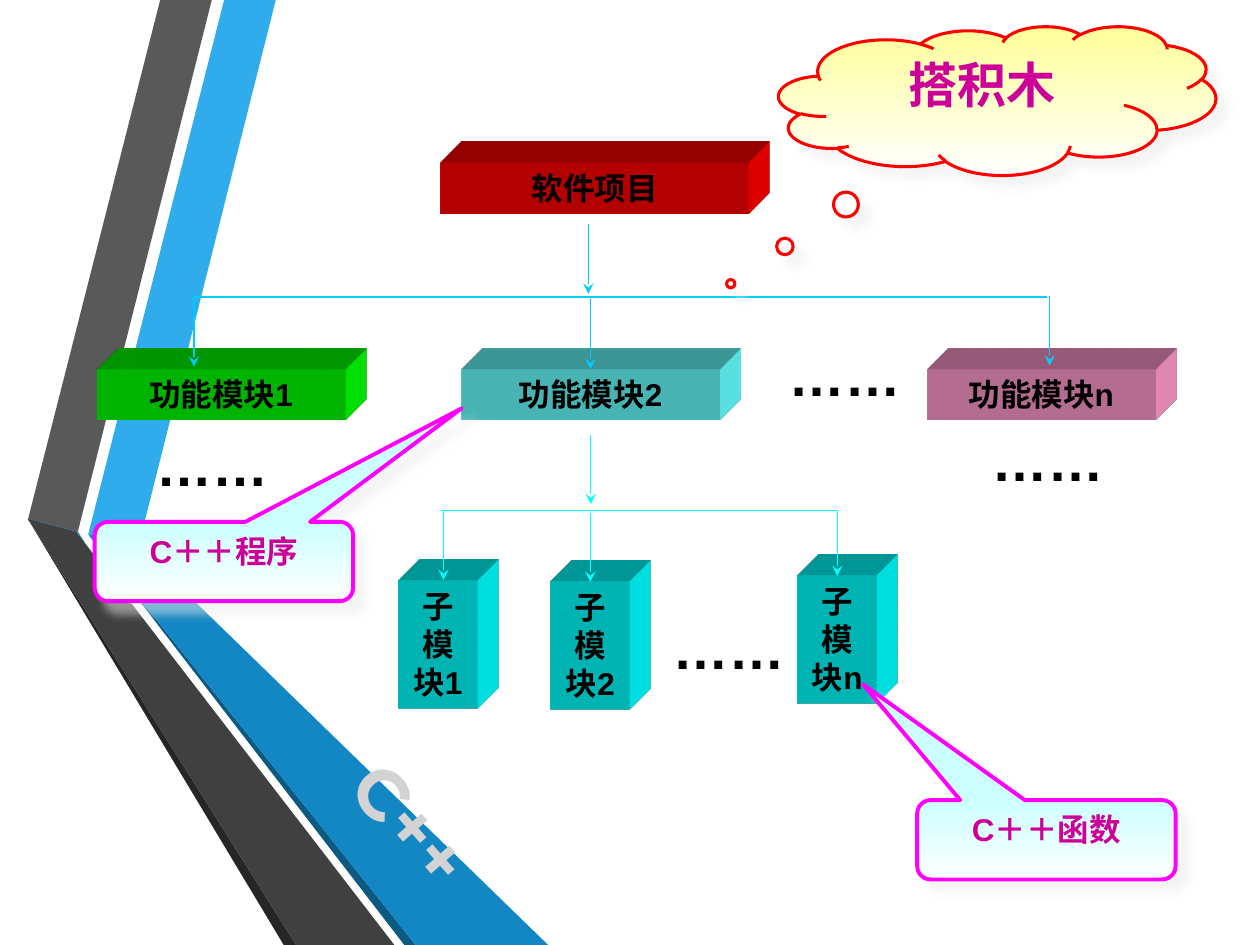
from lxml.etree import SubElement
from pptx import Presentation
from pptx.dml.color import RGBColor
from pptx.enum.shapes import MSO_CONNECTOR as Link, MSO_SHAPE as Preset
from pptx.enum.text import MSO_ANCHOR as Anchor, MSO_AUTO_SIZE as Fit, PP_ALIGN as Align
from pptx.oxml.ns import qn
from pptx.util import Cm, Pt

CYAN, SKY, PINK = "00FFFF", "00CCFF", "CC0099"


def paint(target, value):
    """Apply a hex colour to a fill."""
    target.solid()
    target.fore_color.rgb = RGBColor.from_string(value)


def node(parent, tag, **attributes):
    """Append a drawing element with its attributes."""
    return SubElement(parent, qn(tag), {key: str(value) for key, value in attributes.items()})


def write(box, text, size=18, color="000000", font="Arial", align=Align.CENTER, fit=Fit.NONE):
    """Put formatted bold text in a box."""
    frame = box.text_frame
    frame.word_wrap = True
    frame.auto_size = fit
    frame.vertical_anchor = Anchor.TOP
    para = frame.paragraphs[0]
    para.alignment = align
    span = para.add_run()
    span.text = text
    span.font.name = font
    span.font.size = Pt(size)
    span.font.bold = True
    paint(span.font.fill, color)


class Diagram:
    """Draw the elements of the module diagram on one page."""

    def __init__(self, page):
        """Keep the current page."""
        self.shapes = page.shapes

    def band(self, color, points):
        """Draw a filled polygon of the side ribbon."""
        corners = [(Cm(x), Cm(y)) for x, y in points]
        builder = self.shapes.build_freeform(*corners[0], scale=1.0)
        builder.add_line_segments(corners[1:], close=True)
        shape = builder.convert_to_shape()
        paint(shape.fill, color)
        shape.line.fill.background()
        shape.shadow.inherit = False

    def label(self, text, left, top, width=4.6, height=1.6, turn=0, **style):
        """Add a left-aligned text box."""
        box = self.shapes.add_textbox(Cm(left), Cm(top), Cm(width), Cm(height))
        box.rotation = turn
        write(box, text, align=Align.LEFT, fit=Fit.SHAPE_TO_FIT_TEXT, **style)

    def block(self, text, color, left, top, width, height=1.02):
        """Add an extruded block and return it."""
        box = self.shapes.add_shape(Preset.RECTANGLE, Cm(left), Cm(top), Cm(width), Cm(height))
        paint(box.fill, color)
        box.line.fill.background()
        box.shadow.inherit = False
        properties = box._element.spPr
        scene = node(properties, "a:scene3d")
        node(scene, "a:camera", prst="legacyObliqueTopRight")
        node(scene, "a:lightRig", rig="legacyFlat3", dir="b")
        solid = node(properties, "a:sp3d", extrusionH=430200, prstMaterial="legacyMatte")
        node(node(solid, "a:extrusionClr"), "a:srgbClr", val=color)
        write(box, text, fit=Fit.SHAPE_TO_FIT_TEXT)
        return box

    def line(self, color, start, end, arrow=False):
        """Add a thin line, with a stealth head if wanted."""
        link = self.shapes.add_connector(Link.STRAIGHT, *start, *end)
        link.line.width = Pt(0.75)
        paint(link.line.fill, color)
        if arrow:
            node(link.line._get_or_add_ln(), "a:tailEnd", type="stealth")
        node(link._element.spPr, "a:effectLst")
        return link

    def bus(self, color, left, right, y):
        """Add a horizontal line that feeds the arrows."""
        self.line(color, (Cm(left), Cm(y)), (Cm(right), Cm(y)))

    def drop(self, color, x, top, length=1.4):
        """Add a free downward arrow."""
        self.line(color, (Cm(x), Cm(top)), (Cm(x), Cm(top + length)), arrow=True)

    def feed(self, color, top, target):
        """Add a downward arrow joined to the top of a block."""
        middle = target.left + target.width // 2
        link = self.line(color, (middle, Cm(top)), (middle, target.top), arrow=True)
        link.end_connect(target, 0)

    def callout(self, preset, text, place, adjust, tint, edge, weight, size=18):
        """Add a shaded callout with a soft shadow."""
        box = self.shapes.add_shape(preset, *map(Cm, place))
        for index, value in enumerate(adjust):
            box.adjustments[index] = value
        box.fill.gradient()
        box.fill.gradient_angle = 270
        for stop, value in zip(box.fill.gradient_stops, (tint, "FFFFFF")):
            stop.color.rgb = RGBColor.from_string(value)
        paint(box.line.fill, edge)
        box.line.width = Pt(weight)
        box.shadow.inherit = False
        effects = box._element.spPr.find(qn("a:effectLst"))
        shadow = node(effects, "a:outerShdw", blurRad=Pt(5), dist=Pt(8.5), dir=2700000,
                      algn="ctr", rotWithShape=0)
        node(node(shadow, "a:srgbClr", val="EBEBEB"), "a:alpha", val=50000)
        write(box, text, size=size, color=PINK)


def main():
    """Build and save the slide."""
    deck = Presentation()
    deck.slide_width, deck.slide_height = Cm(25.4), Cm(19.05)
    diagram = Diagram(deck.slides.add_slide(deck.slide_layouts[6]))

    bands = [
        ("30ACEC", [(1.78, 10.77), (2.79, 11.02), (5.56, 0), (4.52, 0)]),
        ("595959", [(4.27, 0), (3.23, 0), (0.56, 10.49), (1.57, 10.72)]),
        ("262626", [(0.58, 10.49), (5.72, 19.05), (5.97, 19.05)]),
        ("0C5A82", [(8.38, 19.05), (1.8, 10.8), (8.15, 19.05)]),
        ("1287C3", [(1.78, 10.77), (1.8, 10.8), (8.38, 19.05), (11.05, 19.05), (2.79, 11.02)]),
        ("404040", [(7.95, 19.05), (1.73, 10.97), (1.57, 10.72), (0.56, 10.46), (0.58, 10.49),
                    (5.97, 19.05)]),
        ("29ABE2", [(1.57, 10.72), (0.56, 10.46), (1.55, 10.72)]),
        ("29ABE2", [(1.55, 10.74), (1.73, 10.97), (1.57, 10.74)]),
    ]
    for color, points in bands:
        diagram.band(color, points)
    diagram.label("C++", 6.55, 15.93, 4.09, 1.96, turn=48.7, size=40, color="D3D3D3",
                  font="Montserrat")

    parts = [("1", 8.03, 11.71), ("2", 11.1, 11.73), ("n", 16.08, 11.61)]
    _, second_part, last_part = [
        diagram.block("子模块" + name, CYAN, left, top, 1.6, 2.57) for name, left, top in parts]
    diagram.feed(CYAN, 10.34, second_part)
    diagram.drop(CYAN, 8.94, 10.29)
    diagram.bus(CYAN, 8.89, 16.89, 10.29)
    diagram.drop(CYAN, 11.91, 8.76)
    diagram.feed(CYAN, 10.29, last_part)

    modules = [("1", "00FF00", 1.96, 5), ("2", "66FFFF", 9.3, 5.21), ("n", "FF99CC", 18.69, 4.6)]
    _, second_module, _ = [
        diagram.block("功能模块" + name, color, left, 7.44, width)
        for name, color, left, width in modules]
    diagram.drop(SKY, 3.91, 5.99)
    diagram.feed(SKY, 5.99, second_module)
    diagram.drop(SKY, 21.16, 5.97)
    diagram.bus(SKY, 3.89, 21.11, 5.99)
    diagram.drop(SKY, 11.86, 4.52)

    for left, top in [(15.65, 6.73), (13.31, 12.24), (2.9, 8.56), (19.74, 8.46)]:
        diagram.label("……", left, top, size=32)
    diagram.block("软件项目", "FF0000", 8.89, 3.28, 6.2)

    notes = [("C＋＋程序", 1.91, 10.52, (0.92, -1.93, 0.17)),
             ("C＋＋函数", 18.49, 16.13, (-0.71, -1.96, 0.17))]
    for text, left, top, adjust in notes:
        diagram.callout(Preset.ROUNDED_RECTANGULAR_CALLOUT, text, (left, top, 5.21, 1.6), adjust,
                        "CCFFFF", "FF00FF", 2.25)
    diagram.callout(Preset.CLOUD_CALLOUT, "搭积木", (15.7, 0.53, 8.81, 3), (-0.61, 1.23),
                    "FFFF99", "FF0000", 1.75, size=28)
    deck.save("out.pptx")


if __name__ == "__main__":
    main()
